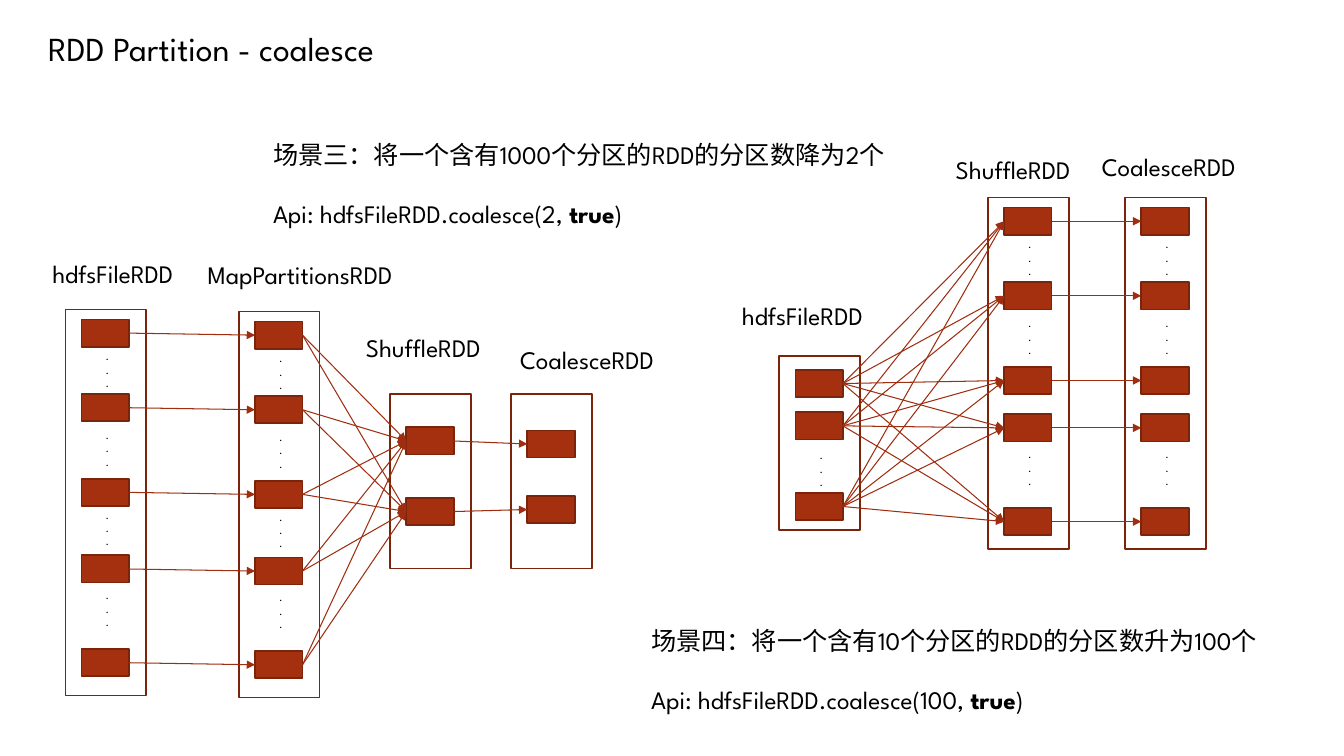
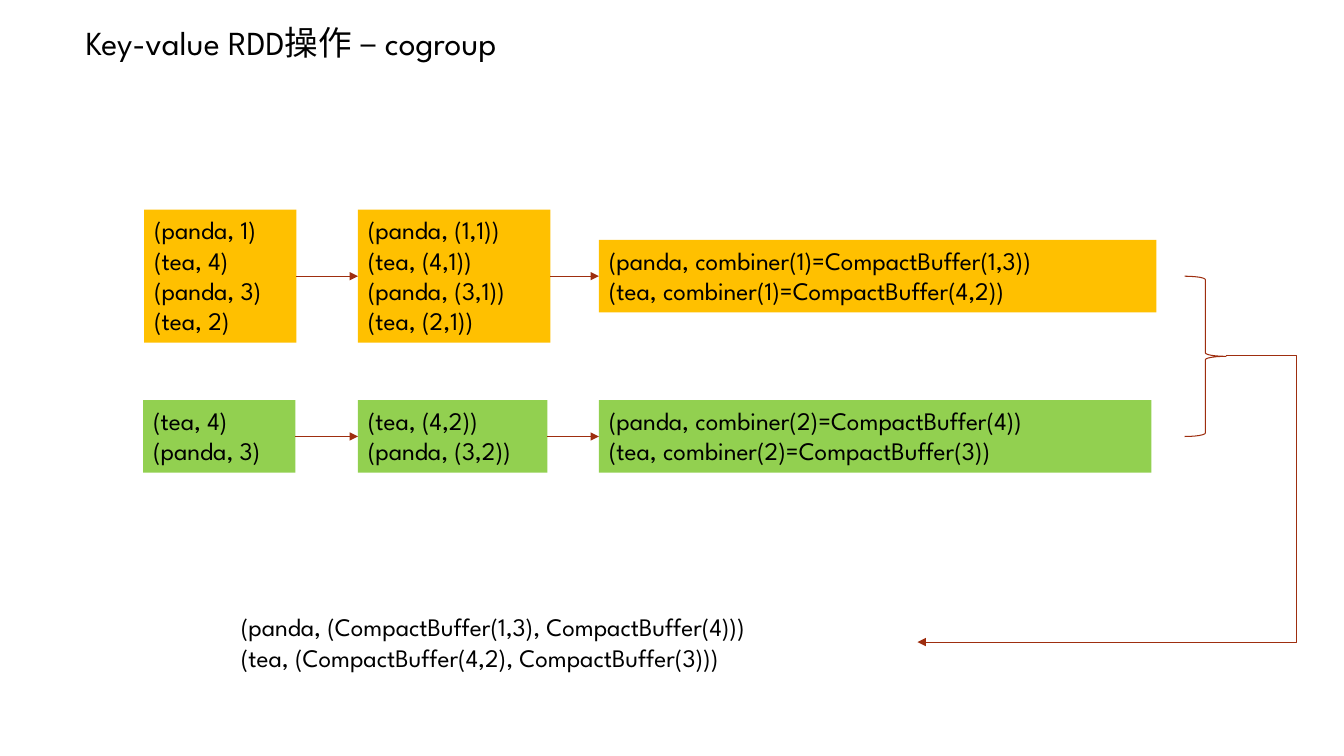
from itertools import product

from pptx import Presentation
from pptx.dml.color import RGBColor
from pptx.enum.shapes import MSO_CONNECTOR as Connector, MSO_SHAPE as Shape
from pptx.oxml.ns import qn
from pptx.util import Pt
from lxml.etree import SubElement

PX = 9144  # 100 px to the inch
FONT = "League Spartan"
BLACK = RGBColor(0x00, 0x00, 0x00)
RUST = RGBColor(0xA5, 0x30, 0x10)
DARK_RUST = RGBColor(0x7A, 0x24, 0x0C)
ARROW = RGBColor(0x9E, 0x2E, 0x0F)
ORANGE = RGBColor(0xFF, 0xC0, 0x00)
GREEN = RGBColor(0x92, 0xD0, 0x50)
TITLE_SIZE, BODY_SIZE, DOT_SIZE = 24, 18, 8


def add_text(slide, x, y, w, h, lines, size=BODY_SIZE):
    """Add a text box; a line is a string or a list of (text, bold) runs."""
    box = slide.shapes.add_textbox(x * PX, y * PX, w * PX, h * PX)
    frame = box.text_frame
    frame.word_wrap = True
    for i, line in enumerate(lines):
        paragraph = frame.paragraphs[0] if i == 0 else frame.add_paragraph()
        for words, bold in [(line, False)] if isinstance(line, str) else line:
            run = paragraph.add_run()
            run.text = words
            run.font.name = FONT
            run.font.size = Pt(size)
            run.font.bold = bold
            run.font.color.rgb = BLACK
    return box


def add_arrow(slide, start=None, end=None, bend=None):
    """Join the right side of start to the left side of end, or draw an elbow.

    bend is (x1, y1, x2, y2, adjustment) in px.
    """
    kind = Connector.ELBOW if bend else Connector.STRAIGHT
    ends = bend[:4] if bend else (0, 0, 0, 0)
    arrow = slide.shapes.add_connector(kind, *[v * PX for v in ends])
    if bend:
        guides = arrow._element.spPr.find(qn("a:prstGeom")).get_or_add_avLst()
        SubElement(guides, qn("a:gd"), name="adj1", fmla=f"val {bend[4]}")
    else:
        arrow.begin_connect(start, 3)
        arrow.end_connect(end, 1)
    arrow.line.color.rgb = ARROW
    arrow.line.width = Pt(0.75)
    SubElement(arrow.line._get_or_add_ln(), qn("a:tailEnd"), type="triangle")
    SubElement(arrow._element.spPr, qn("a:effectLst"))


deck = Presentation()
deck.slide_width, deck.slide_height = 1333 * PX, 750 * PX
blank = deck.slide_layouts[6]

# Slide 1: coalesce with shuffle
coalesce = deck.slides.add_slide(blank)
add_text(coalesce, 38, 23, 414, 50, ["RDD Partition - coalesce"], TITLE_SIZE)

scenarios = [
    (261, 133, "场景三：将一个含有1000个分区的RDD的分区数降为2个", "2"),
    (636, 615, "场景四：将一个含有10个分区的RDD的分区数升为100个", "100"),
]
for x, y, scenario, count in scenarios:
    add_text(coalesce, x, y, 648, 40, [scenario])
    call = [(f"Api: hdfsFileRDD.coalesce({count}, ", False), ("true", True), (")", False)]
    add_text(coalesce, x, y + 59, 460, 40, [call])

RDD_W, PART_W, PART_H, INSET = 80, 47, 27, 16
# Height of the RDD, then offsets of its partitions and its dots from the top
five_source = (383, [10, 84, 168, 244, 337], [35, 113, 192, 272])
five_target = (349, [10, 84, 168, 215, 308], [35, 113, 243])
three_source = (173, [14, 56, 136], [87])
two_shuffled = (173, [33, 103], [])
two_merged = (173, [36, 101], [])

# Label, label x, label y, RDD x, RDD y, layout
reduce_rdds = [
    ("hdfsFileRDD", 42, 251, 65, 307, five_source),
    ("MapPartitionsRDD", 196, 252, 237, 309, five_source),
    ("ShuffleRDD", 353, 325, 387, 391, two_shuffled),
    ("CoalesceRDD", 506, 337, 507, 391, two_merged),
]
grow_rdds = [
    ("hdfsFileRDD", 726, 293, 773, 353, three_source),
    ("ShuffleRDD", 938, 148, 980, 196, five_target),
    ("CoalesceRDD", 1083, 145, 1116, 196, five_target),
]
for rdds in (reduce_rdds, grow_rdds):
    stages = []
    for label, label_x, label_y, x, y, (height, part_tops, dot_tops) in rdds:
        add_text(coalesce, label_x, label_y, 239, 40, [label])
        frames = [(x, y, RDD_W, height)]
        frames += [(x + INSET, y + top, PART_W, PART_H) for top in part_tops]
        outlines = []
        for frame in frames:
            rect = coalesce.shapes.add_shape(Shape.RECTANGLE, *[v * PX for v in frame])
            rect.shadow.inherit = False
            rect.line.color.rgb = DARK_RUST
            rect.line.width = Pt(1.25)
            if outlines:
                rect.fill.solid()
                rect.fill.fore_color.rgb = RUST
            else:
                rect.fill.background()
            outlines.append(rect)
        stages.append(outlines[1:])
        for top in dot_tops:
            add_text(coalesce, x + 30, y + top, 20, 51, ["."] * 3, DOT_SIZE)
    for (label, *_), parents, children in zip(rdds[1:], stages, stages[1:]):
        pair = product if label == "ShuffleRDD" else zip
        for parent, child in pair(parents, children):
            add_arrow(coalesce, parent, child)

# Slide 2: cogroup
cogroup = deck.slides.add_slide(blank)
add_text(cogroup, 75, 17, 507, 50, ["Key-value RDD操作 – cogroup"], TITLE_SIZE)

# Fill, middle y, then x, width and pairs of each step
pipelines = [
    (ORANGE, 274, [
        (143, 151, ["(panda, 1)", "(tea, 4)", "(panda, 3)", "(tea, 2)"]),
        (355, 191, ["(panda, (1,1))", "(tea, (4,1))", "(panda, (3,1))", "(tea, (2,1))"]),
        (594, 553, ["(panda, combiner(1)=CompactBuffer(1,3))",
                    "(tea, combiner(1)=CompactBuffer(4,2))"]),
    ]),
    (GREEN, 433, [
        (142, 151, ["(tea, 4)", "(panda, 3)"]),
        (355, 188, ["(tea, (4,2))", "(panda, (3,2))"]),
        (594, 548, ["(panda, combiner(2)=CompactBuffer(4))",
                    "(tea, combiner(2)=CompactBuffer(3))"]),
    ]),
]
for color, middle, steps in pipelines:
    previous = None
    for x, width, pairs in steps:
        height = 12 + 30 * len(pairs)
        step = add_text(cogroup, x, middle - height // 2, width, height, pairs)
        step.fill.solid()
        step.fill.fore_color.rgb = color
        if previous is not None:
            add_arrow(cogroup, previous, step)
        previous = step

add_text(cogroup, 229, 602, 681, 71, [
    "(panda, (CompactBuffer(1,3), CompactBuffer(4)))",
    "(tea, (CompactBuffer(4,2), CompactBuffer(3)))",
])
brace = cogroup.shapes.add_shape(Shape.RIGHT_BRACE, 1175 * PX, 274 * PX, 41 * PX, 159 * PX)
brace.shadow.inherit = False
brace.fill.background()
brace.line.color.rgb = ARROW
brace.line.width = Pt(0.75)
add_arrow(cogroup, bend=(1216, 353, 910, 637, -23000))

deck.save("out.pptx")
